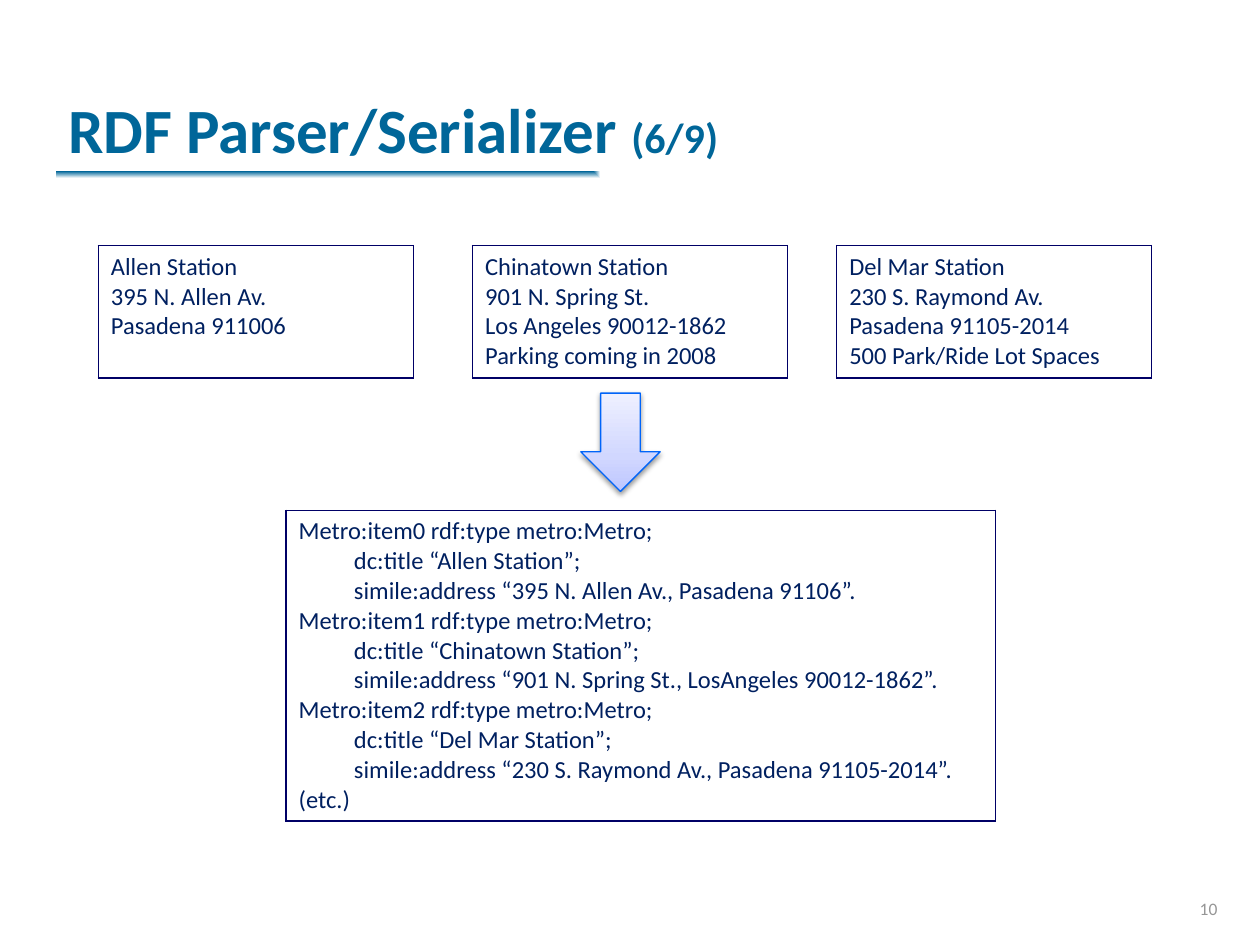
from lxml.etree import SubElement
from pptx import Presentation
from pptx.dml.color import RGBColor
from pptx.enum.shapes import MSO_SHAPE
from pptx.enum.text import MSO_ANCHOR, MSO_AUTO_SIZE, PP_ALIGN
from pptx.oxml import parse_xml
from pptx.oxml.ns import nsdecls, qn
from pptx.util import Inches, Pt

TEAL = RGBColor(0x00, 0x66, 0x99)
NAVY = RGBColor(0x00, 0x20, 0x60)
BORDER = RGBColor(0x00, 0x00, 0x66)
ARROW_BLUE = RGBColor(0x00, 0x64, 0xF9)
LAVENDER = RGBColor(0xBD, 0xC6, 0xFF)
PALE_LAVENDER = RGBColor(0xD1, 0xD7, 0xFF)
MIST = RGBColor(0xEE, 0xF0, 0xFF)
GREY = RGBColor(0x96, 0x96, 0x96)
WHITE = RGBColor(0xFF, 0xFF, 0xFF)


def write(paragraph, text, size=14, color=NAVY, bold=False, align=PP_ALIGN.LEFT):
    paragraph.alignment = align
    run = paragraph.add_run()
    run.text = text
    run.font.name = "Calibri"
    run.font.size = Pt(size)
    run.font.bold = bold
    run.font.color.rgb = color


def fill_gradient(shape, stops, direction):
    """Fill with (percent, colour) stops; direction is the a:lin or a:path XML."""
    marks = "".join(
        f'<a:gs pos="{percent * 1000}"><a:srgbClr val="{color}"/></a:gs>'
        for percent, color in stops)
    shape.fill.background()
    no_fill = shape._element.spPr.find(qn("a:noFill"))
    no_fill.getparent().replace(no_fill, parse_xml(
        f'<a:gradFill {nsdecls("a")} rotWithShape="1"><a:gsLst>{marks}</a:gsLst>'
        f'{direction}</a:gradFill>'))


deck = Presentation()
deck.slide_width, deck.slide_height = Inches(10), Inches(7.5)
slide = deck.slides.add_slide(deck.slide_layouts[5])  # title only
shapes = slide.shapes

# Title and the fading rule below it
underline = shapes.add_shape(MSO_SHAPE.RECTANGLE, Inches(0.45), Inches(1.36),
                             Inches(8.63), Inches(0.11))
underline.shadow.inherit = False
underline.line.fill.background()
fill_gradient(underline, [(0, TEAL), (100, WHITE)],
              '<a:path path="rect"><a:fillToRect r="100000" b="100000"/></a:path>')

title = shapes.title
title.left, title.top = Inches(0.44), Inches(0.12)
title.width, title.height = Inches(8.5), Inches(1.25)
title.text_frame.auto_size = MSO_AUTO_SIZE.NONE
title.text_frame.vertical_anchor = MSO_ANCHOR.BOTTOM
heading = title.text_frame.paragraphs[0]
write(heading, "RDF Parser/Serializer ", size=36, color=TEAL, bold=True)
write(heading, "(6/9)", size=24, color=TEAL, bold=True)

# Station records above, the RDF made from them below
STATION_TOP, STATION_WIDTH, STATION_HEIGHT = 1.95, 2.5, 1.05
boxes = [
    (0.78, STATION_TOP, STATION_WIDTH, STATION_HEIGHT,
     ["Allen Station", "395 N. Allen Av.", "Pasadena 911006"]),
    (3.75, STATION_TOP, STATION_WIDTH, STATION_HEIGHT,
     ["Chinatown Station", "901 N. Spring St.", "Los Angeles 90012-1862",
      "Parking coming in 2008"]),
    (6.64, STATION_TOP, STATION_WIDTH, STATION_HEIGHT,
     ["Del Mar Station", "230 S. Raymond Av.", "Pasadena 91105-2014",
      "500 Park/Ride Lot Spaces"]),
    (2.27, 4.05, 5.63, 2.43,
     ["Metro:item0 rdf:type metro:Metro;",
      "          dc:title “Allen Station”;",
      "          simile:address “395 N. Allen Av., Pasadena 91106”.",
      "Metro:item1 rdf:type metro:Metro;",
      "          dc:title “Chinatown Station”;",
      "          simile:address “901 N. Spring St., LosAngeles 90012-1862”.",
      "Metro:item2 rdf:type metro:Metro;",
      "          dc:title “Del Mar Station”;",
      "          simile:address “230 S. Raymond Av., Pasadena 91105-2014”.",
      "(etc.)"]),
]
for left, top, width, height, lines in boxes:
    table = shapes.add_table(1, 1, Inches(left), Inches(top),
                             Inches(width), Inches(height)).table
    table.first_row = table.horz_banding = False
    cell = table.cell(0, 0)
    cell_properties = cell._tc.get_or_add_tcPr()
    for side in ("a:lnL", "a:lnR", "a:lnT", "a:lnB"):
        edge = SubElement(cell_properties, qn(side), w=str(Pt(1)))
        SubElement(SubElement(edge, qn("a:solidFill")), qn("a:srgbClr"), val=str(BORDER))
    cell.fill.solid()
    cell.fill.fore_color.rgb = WHITE
    for index, line in enumerate(lines):
        frame = cell.text_frame
        write(frame.add_paragraph() if index else frame.paragraphs[0], line)

# Arrow from the records to the RDF
arrow = shapes.add_shape(MSO_SHAPE.DOWN_ARROW, Inches(4.61), Inches(3.12),
                         Inches(0.63), Inches(0.78))
arrow.line.color.rgb = ARROW_BLUE
arrow.line.width = Pt(0.75)
fill_gradient(arrow, [(0, LAVENDER), (35, PALE_LAVENDER), (100, MIST)],
              '<a:lin ang="16200000" scaled="1"/>')
arrow.shadow.inherit = False
effects = arrow._element.spPr.find(qn("a:effectLst"))
shadow = SubElement(effects, qn("a:outerShdw"), blurRad=str(Pt(3.1)),
                    dist=str(Pt(1.6)), dir="5400000", rotWithShape="0")
shadow_color = SubElement(shadow, qn("a:srgbClr"), val="000000")
SubElement(shadow_color, qn("a:alpha"), val="38000")

# Page number
page = shapes.add_textbox(Inches(7.68), Inches(6.84), Inches(2.08), Inches(0.5)).text_frame
page.word_wrap = True
page.vertical_anchor = MSO_ANCHOR.BOTTOM
write(page.paragraphs[0], "10", size=10, color=GREY, align=PP_ALIGN.RIGHT)

deck.save("out.pptx")
